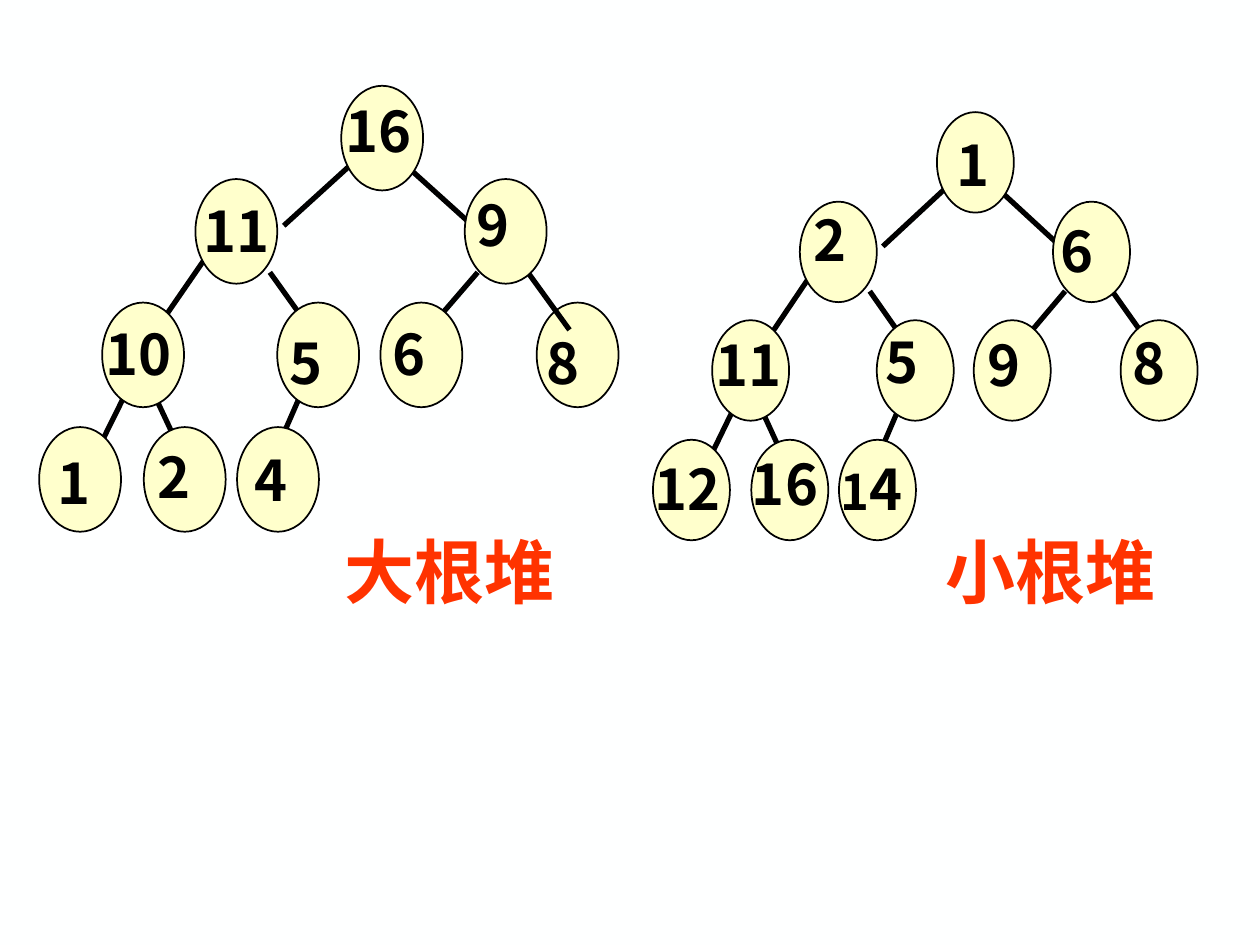
"""Build a slide that compares a max-heap tree with a min-heap tree."""
import lxml.etree
import pptx
import pptx.dml.color
import pptx.enum.shapes
import pptx.enum.text
import pptx.oxml.ns
import pptx.util
from pptx.util import Cm

COLOURS = {"background": "FEFFFF", "node": "FFFFCC", "ink": "000000", "caption": "FF3300"}
FONT = "Noto Sans CJK SC"
NODE_SIZE = (1.65, 2.11)
LABEL_SIZE = (2.34, 1.63)
LEVEL_TOPS = (1.73, 3.61, 6.10, 8.61)
LEVEL_LEFTS = (
    (6.88,),
    (3.94, 9.37),
    (2.06, 5.59, 7.67, 10.82),
    (0.79, 2.90, 4.78),
)
EDGES = (
    (5.72, 4.55, 7.04, 3.35), (8.20, 3.35, 9.53, 4.55), (10.64, 5.49, 11.48, 6.65),
    (2.51, 7.98, 1.88, 9.25), (3.56, 8.92, 3.12, 7.98), (9.63, 5.49, 8.56, 6.73),
    (5.44, 5.49, 6.27, 6.65), (4.17, 5.16, 3.35, 6.35), (6.05, 7.98, 5.64, 8.92),
)
MAX_HEAP = {
    "shift": (0, 0), "scale": (1, 1), "nodes_under_edges": {6},
    "labels": (
        ("16", 6.71, 1.83), ("11", 3.86, 3.84), ("9", 9.35, 3.71), ("10", 1.88, 6.32),
        ("5", 5.59, 6.50), ("6", 7.67, 6.32), ("8", 10.76, 6.50), ("1", 0.91, 8.92),
        ("2", 2.92, 8.79), ("4", 4.88, 8.86),
    ),
}
MIN_HEAP = {
    "shift": (12.42, 0.60), "scale": (0.94, 0.96), "nodes_under_edges": set(),
    "labels": (
        ("1", 19.04, 2.51), ("2", 16.15, 4.01), ("6", 21.13, 4.24), ("11", 14.17, 6.53),
        ("5", 17.60, 6.48), ("9", 19.65, 6.53), ("8", 22.59, 6.50), ("12", 12.95, 9.04),
        ("16", 14.91, 8.94), ("14", 16.69, 9.04),
    ),
}


def colour(name):
    """Return the named colour."""
    return pptx.dml.color.RGBColor.from_string(COLOURS[name])


def add_text(shapes, frame, pieces, colour_name, align):
    """Add a bold text box made of (text, size) pieces."""
    box = shapes.add_textbox(*map(Cm, frame))
    box.text_frame.word_wrap = True
    box.text_frame.auto_size = pptx.enum.text.MSO_AUTO_SIZE.SHAPE_TO_FIT_TEXT
    para = box.text_frame.paragraphs[0]
    para.alignment = align
    for text, size in pieces:
        span = para.add_run()
        span.text = text
        formats = {"name": FONT, "size": pptx.util.Pt(size), "bold": True}
        for key, value in formats.items():
            setattr(span.font, key, value)
        span.font.color.rgb = colour(colour_name)
        east_asian = lxml.etree.SubElement(span.font._element, pptx.oxml.ns.qn("a:ea"))
        east_asian.set("typeface", FONT)


def add_caption(shapes, left, text):
    """Add the red name below a tree."""
    add_text(shapes, (left, 10.52, 5.49, 1.96), [(text, 40)], "caption",
             pptx.enum.text.PP_ALIGN.CENTER)


def add_node(shapes, frame):
    """Add one oval node."""
    node = shapes.add_shape(pptx.enum.shapes.MSO_SHAPE.OVAL, *map(Cm, frame))
    node.shadow.inherit = False
    node.fill.solid()
    node.fill.fore_color.rgb = colour("node")
    node.line.color.rgb = colour("ink")
    node.line.width = pptx.util.Pt(1)


def add_edge(shapes, ends):
    """Add one straight edge between two nodes."""
    edge = shapes.add_connector(pptx.enum.shapes.MSO_CONNECTOR.STRAIGHT, *map(Cm, ends))
    edge.line.color.rgb = colour("ink")
    edge.line.width = pptx.util.Pt(3)
    lxml.etree.SubElement(edge._element.spPr, pptx.oxml.ns.qn("a:effectLst"))


def add_tree(slide, tree):
    """Add a grouped heap tree, placed by its shift and scale."""
    shapes = slide.shapes.add_group_shape().shapes
    (shift_x, shift_y), (scale_x, scale_y) = tree["shift"], tree["scale"]

    def place(x, y):
        """Move a point of the shared layout into this tree."""
        return shift_x + scale_x * x, shift_y + scale_y * y

    def scaled(size):
        """Scale a width and height to this tree."""
        return size[0] * scale_x, size[1] * scale_y

    frames = [place(left, top) + scaled(NODE_SIZE)
              for top, lefts in zip(LEVEL_TOPS, LEVEL_LEFTS) for left in lefts]
    under = tree["nodes_under_edges"]
    for index in sorted(under):
        add_node(shapes, frames[index])
    for edge in EDGES:
        add_edge(shapes, place(*edge[:2]) + place(*edge[2:]))
    for index, frame in enumerate(frames):
        if index not in under:
            add_node(shapes, frame)
    label_size = (scaled(LABEL_SIZE)[0], LABEL_SIZE[1])
    for text, left, top in tree["labels"]:
        pieces = [("1", 28), ("4", 32)] if text == "14" else [(text, 32)]
        add_text(shapes, (left, top) + label_size, pieces, "ink",
                 pptx.enum.text.PP_ALIGN.LEFT)


def main():
    """Build and save the deck."""
    deck = pptx.Presentation()
    deck.slide_width, deck.slide_height = Cm(25.4), Cm(19.05)
    page = deck.slides.add_slide(deck.slide_layouts[6])
    page.background.fill.solid()
    page.background.fill.fore_color.rgb = colour("background")
    add_caption(page.shapes, 18.44, "小根堆")
    add_tree(page, MAX_HEAP)
    add_caption(page.shapes, 6.32, "大根堆")
    add_tree(page, MIN_HEAP)
    deck.save("out.pptx")


if __name__ == "__main__":
    main()
